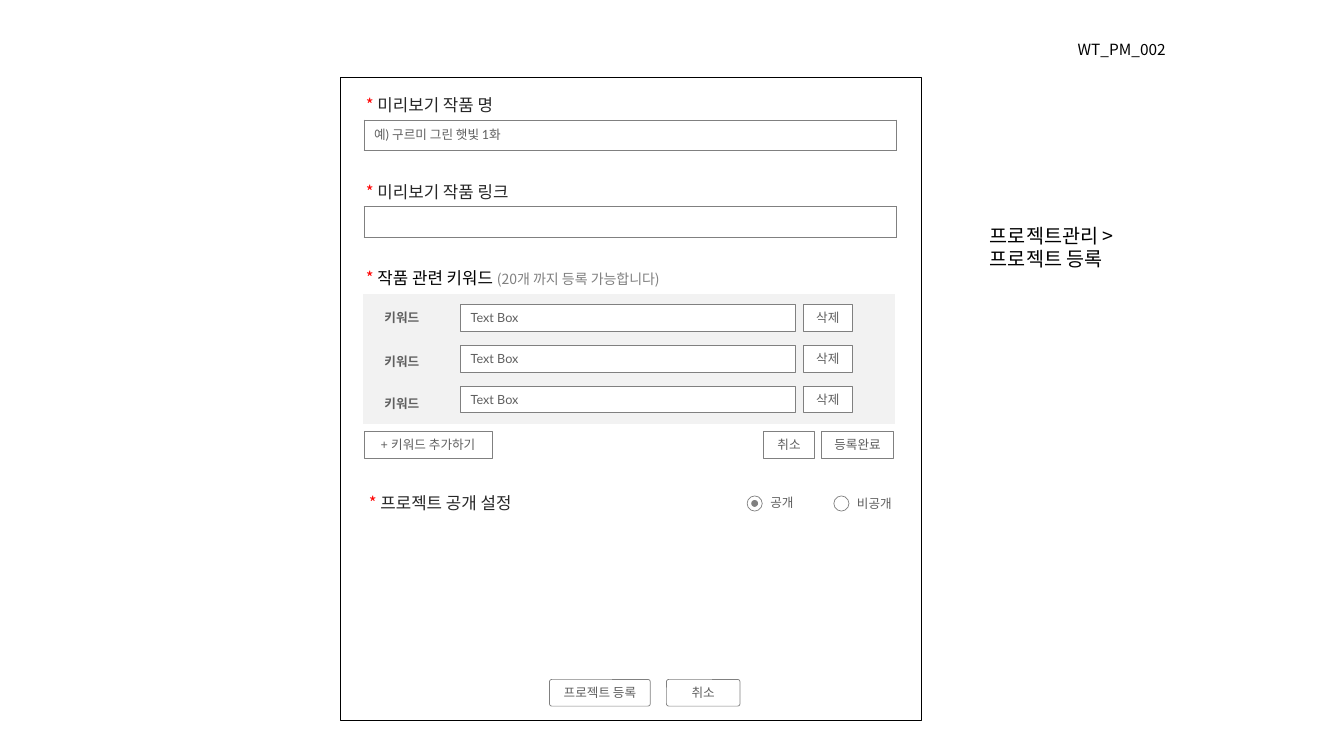
from lxml import etree
from pptx import Presentation, util as u
from pptx.dml.color import RGBColor
from pptx.enum import shapes, text
from pptx.oxml.ns import qn

BLACK = RGBColor(0x00, 0x00, 0x00)
WHITE = RGBColor(0xFF, 0xFF, 0xFF)
RED = RGBColor(0xFF, 0x00, 0x00)
INK = RGBColor(0x26, 0x26, 0x26)
LABEL = RGBColor(0x5F, 0x5F, 0x5F)
EDGE = RGBColor(0x80, 0x80, 0x80)
PANEL = RGBColor(0xF2, 0xF2, 0xF2)
LATIN, KOREAN = "Lato", "Noto Sans CJK KR"
NO_TABLE_STYLE = "{2D5ABB26-0587-4C30-8999-92F81FD0307C}"
RECT = shapes.MSO_SHAPE.RECTANGLE
ROUNDED = shapes.MSO_SHAPE.ROUNDED_RECTANGLE
OVAL = shapes.MSO_SHAPE.OVAL
LEFT, CENTER = text.PP_ALIGN.LEFT, text.PP_ALIGN.CENTER

deck = Presentation()
deck.slide_width, deck.slide_height = u.Inches(13.33), u.Inches(7.5)
page = deck.slides.add_slide(deck.slide_layouts[6])
GRID = deck.slide_height / 75  # side of one square grid cell


def write(para, words, size=9, color=LABEL, font=LATIN, bold=False, align=LEFT):
    """Append one formatted span to a paragraph."""
    para.alignment = align
    span = para.add_run()
    span.text = words
    span.font.size = u.Pt(size)
    span.font.bold = bold
    span.font.color.rgb = color
    span.font.name = font
    etree.SubElement(span.font._element, qn("a:ea"), typeface=KOREAN)


def add_box(parent, kind, *cells, fill=WHITE, edge=EDGE, weight=0.5, inset=(1, 0.6)):
    """Add a shape, or a text box if kind is None, measured in grid cells."""
    place = [round(GRID * cell) for cell in cells]
    if kind is None:
        box = parent.add_textbox(*place)
    else:
        box = parent.add_shape(kind, *place)
        box.shadow.inherit = False
        box.line.color.rgb = edge
        box.line.width = u.Pt(weight)
        if fill is None:
            box.fill.background()
        else:
            box.fill.solid()
            box.fill.fore_color.rgb = fill
        box.text_frame.vertical_anchor = text.MSO_ANCHOR.MIDDLE
    frame = box.text_frame
    frame.word_wrap = True
    frame.margin_left = frame.margin_right = round(GRID * inset[0])
    frame.margin_top = frame.margin_bottom = round(GRID * inset[1])
    return box


add_box(page.shapes, RECT, 33.8, 7.7, 57.6, 63.8, fill=None, edge=BLACK, weight=1)

# Field headings
headings = [
    (35.3, 8.9, 58.1, "미리보기 작품 명", INK, ""),
    (35.3, 17.5, 58.1, "미리보기 작품 링크", INK, ""),
    (35.3, 26.1, 58.1, "작품 관련 키워드 ", BLACK, "(20개 까지 등록 가능합니다)"),
    (35.6, 48.4, 20.6, "프로젝트 공개 설정", INK, ""),
]
for left, top, width, title, color, hint in headings:
    heading = add_box(page.shapes, None, left, top, width, 3, inset=(1, 0.5))
    para = heading.text_frame.paragraphs[0]
    write(para, "* ", size=12, color=RED, font=KOREAN)
    write(para, title, size=12, color=color, font=KOREAN)
    if hint:
        write(para, hint, size=10, color=EDGE, font=KOREAN)

# Input fields and keyword panel
tables = [
    (36.1, 11.9, [52.8], [3], WHITE, "예) 구르미 그린 햇빛 1화"),
    (36.1, 20.5, [52.8], [3], WHITE, ""),
    (36, 29.2, [7.7, 19.5, 13.1, 12.5], [4.5, 4.2, 4.2], PANEL, "키워드"),
]
for left, top, widths, heights, fill, words in tables:
    place = [round(GRID * cell) for cell in (left, top, sum(widths), sum(heights))]
    table = page.shapes.add_table(len(heights), len(widths), *place).table
    table.first_row = table.horz_banding = False
    table._tbl.find(".//" + qn("a:tableStyleId")).text = NO_TABLE_STYLE
    for column, width in zip(table.columns, widths):
        column.width = round(GRID * width)
    is_panel = fill == PANEL
    for number, (row, height) in enumerate(zip(table.rows, heights)):
        row.height = round(GRID * height)
        for index, cell in enumerate(row.cells):
            para = cell.text_frame.paragraphs[0]
            if words and index == 0:
                write(para, words, font=KOREAN if is_panel else LATIN,
                      bold=is_panel, align=CENTER if is_panel else LEFT)
            else:
                etree.SubElement(para._p, qn("a:endParaRPr"), sz="900")
            if is_panel:
                cell.vertical_anchor = text.MSO_ANCHOR.MIDDLE
            else:
                for side in ("a:lnL", "a:lnR", "a:lnT", "a:lnB"):
                    border = etree.SubElement(cell._tc.get_or_add_tcPr(), qn(side),
                                              w=str(u.Pt(0.5)))
                    paint = etree.SubElement(border, qn("a:solidFill"))
                    etree.SubElement(paint, qn("a:srgbClr"), val=str(EDGE))
            cell.fill.solid()
            cell.fill.fore_color.rgb = fill
        if is_panel and number < 2:
            table.cell(number, 1).merge(table.cell(number, 3))

# Keyword entries and buttons
controls = []
for number in range(3):
    top = 30.2 + 4.05 * number
    controls += [(RECT, 45.7, top, 33.2, "Text Box", LEFT),
                 (RECT, 79.7, top, 4.8, "삭제", CENTER)]
controls += [
    (RECT, 36.1, 42.8, 12.7, "+ 키워드 추가하기", CENTER),
    (RECT, 81.5, 42.8, 7.1, "등록완료", CENTER),
    (RECT, 75.7, 42.8, 5.1, "취소", CENTER),
    (ROUNDED, 66.1, 67.4, 7.3, "취소", CENTER),
    (ROUNDED, 54.5, 67.4, 10, "프로젝트 등록", CENTER),
]
for kind, left, top, width, words, align in controls:
    control = add_box(page.shapes, kind, left, top, width, 2.65)
    if kind == ROUNDED:
        control.adjustments[0] = 0.09
    write(control.text_frame.paragraphs[0], words, align=align)

# Visibility options
for left, top, width, words, chosen in [(74.1, 48.7, 4.1, "공개", True),
                                        (82.7, 48.8, 5.4, "비공개", False)]:
    option = page.shapes.add_group_shape().shapes
    add_box(option, OVAL, left, 49.2, 1.5, 1.5)
    if chosen:
        add_box(option, OVAL, left + 0.45, 49.65, 0.6, 0.6, fill=EDGE)
    label = add_box(option, None, left + 1.5, top, width, 2.3, inset=(0.8, 0.4))
    label.text_frame.word_wrap = False
    label.text_frame.vertical_anchor = text.MSO_ANCHOR.MIDDLE
    write(label.text_frame.paragraphs[0], words)

# Page path and screen code
trail = add_box(page.shapes, None, 97.2, 21.7, 33.1, 5.7, inset=(1, 0.5)).text_frame
write(trail.paragraphs[0], "프로젝트관리 >", size=14, color=BLACK, font=KOREAN)
write(trail.add_paragraph(), "프로젝트 등록", size=14, color=BLACK, font=KOREAN)
code = add_box(page.shapes, None, 105.9, 3.5, 25.9, 2.9, inset=(1, 0.5)).text_frame
write(code.paragraphs[0], "WT_PM_002", size=11, color=BLACK, font=KOREAN)

deck.save("out.pptx")
